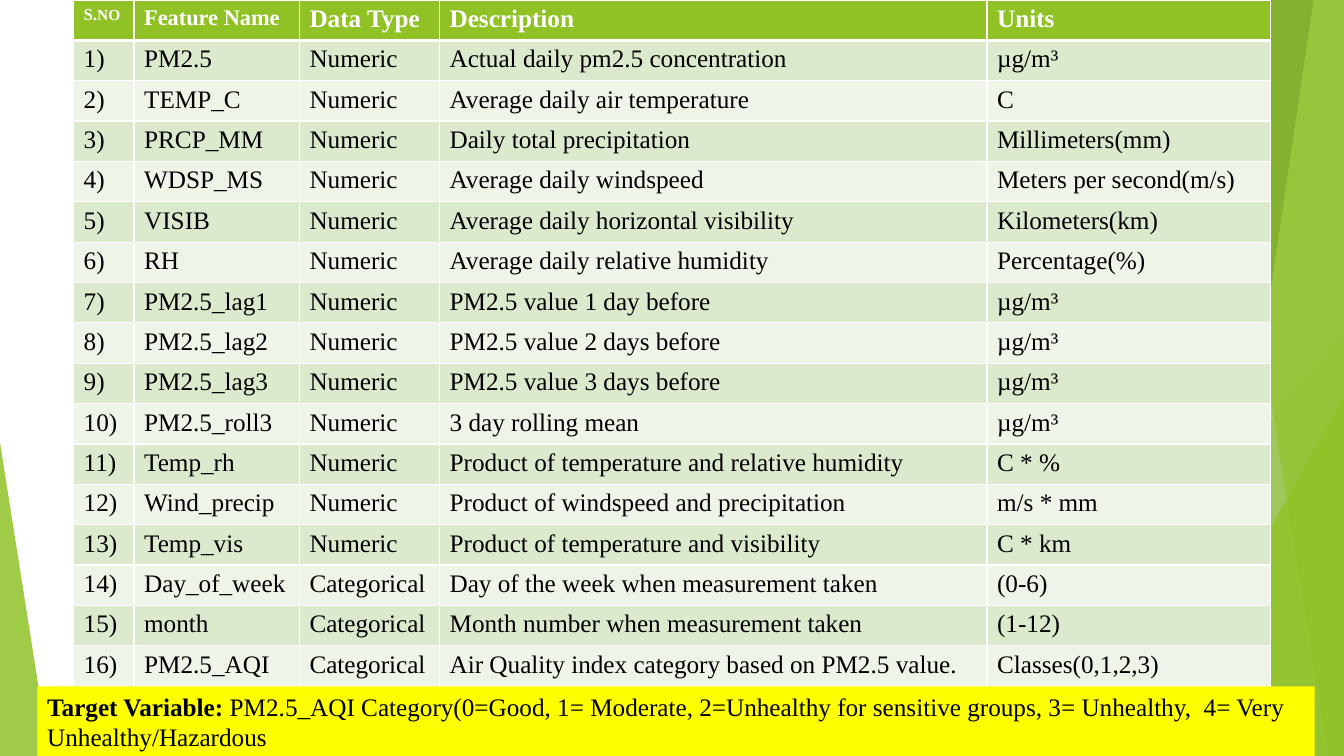
"""Build the feature table slide with its green facets and target variable note."""
from lxml.etree import SubElement
from pptx import Presentation
from pptx.dml.color import RGBColor
from pptx.enum.shapes import MSO_CONNECTOR, MSO_SHAPE
from pptx.enum.text import MSO_ANCHOR, PP_ALIGN
from pptx.oxml.ns import qn
from pptx.util import Inches, Pt

WIDTH, HEIGHT = 13.33, 7.5
FONT = "Times New Roman"
HEADER = ["S.NO", "Feature Name", "Data Type", "Description", "Units"]
HEADER_SIZES = [11, 16, 18, 18, 18]
FEATURES = [
    ("PM2.5", "Numeric", "Actual daily pm2.5 concentration", "µg/m³"),
    ("TEMP_C", "Numeric", "Average daily air temperature", "C"),
    ("PRCP_MM", "Numeric", "Daily total precipitation", "Millimeters(mm)"),
    ("WDSP_MS", "Numeric", "Average daily windspeed", "Meters per second(m/s)"),
    ("VISIB", "Numeric", "Average daily horizontal visibility", "Kilometers(km)"),
    ("RH", "Numeric", "Average daily relative humidity", "Percentage(%)"),
    ("PM2.5_lag1", "Numeric", "PM2.5 value 1 day before", "µg/m³"),
    ("PM2.5_lag2", "Numeric", "PM2.5 value 2 days before", "µg/m³"),
    ("PM2.5_lag3", "Numeric", "PM2.5 value 3 days before", "µg/m³"),
    ("PM2.5_roll3", "Numeric", "3 day rolling mean", "µg/m³"),
    ("Temp_rh", "Numeric", "Product of temperature and relative humidity", "C * %"),
    ("Wind_precip", "Numeric", "Product of windspeed and precipitation", "m/s * mm"),
    ("Temp_vis", "Numeric", "Product of temperature and visibility", "C * km"),
    ("Day_of_week", "Categorical", "Day of the week when measurement taken", "(0-6)"),
    ("month", "Categorical", "Month number when measurement taken", "(1-12)"),
    ("PM2.5_AQI", "Categorical", "Air Quality index category based on PM2.5 value.",
     "Classes(0,1,2,3)"),
]
COLUMNS = [0.6, 1.64, 1.39, 5.43, 2.81]
TABLE_LEFT, TABLE_HEIGHT = 0.73, 6.81
NOTE_BOX = (0.37, TABLE_HEIGHT, 12.67, 0.71)
NOTE = [
    ("Target Variable: ", True),
    ("PM2.5_AQI Category(0=Good, 1= Moderate, 2=Unhealthy for sensitive groups, "
     "3= Unhealthy,  4= Very Unhealthy/Hazardous", False),
]
GUIDES = [((10.25, 0), (11.58, HEIGHT), "BFBFBF"), ((WIDTH, 4.03), (8.12, HEIGHT), "D9D9D9")]
FACETS = [
    ("band", (12.28, 10.04), "90C226", 30),
    ("band", (10.5, 11.83), "90C226", 20),
    ("triangle", (9.77, 3.33, 3.56, 1), "54A021", 72),
    ("band", (10.21, 12.91), "3F7819", 70),
    ("band", (13.03, 11.92), "C0E474", 70),
    ("band", (11.96, 13.18), "90C226", 65),
    ("triangle", (11.34, 3.93, 1.99, 1), "90C226", 80),
    ("triangle", (0, 4.39, 0.49, 0), "90C226", 85),
]


def color(value):
    return RGBColor.from_string(value)


def paint(shape, fill, opacity=100):
    shape.shadow.inherit = False
    shape.fill.solid()
    shape.fill.fore_color.rgb = color(fill)
    if opacity < 100:
        tint = shape._element.spPr.find(".//" + qn("a:srgbClr"))
        SubElement(tint, qn("a:alpha"), val=str(opacity * 1000))
    shape.line.fill.background()


def style(run, size, bold, text_color):
    run.font.name = FONT
    run.font.size = Pt(size)
    run.font.bold = bold
    run.font.color.rgb = color(text_color)


def add_guide(slide, start, end, line_color):
    line = slide.shapes.add_connector(
        MSO_CONNECTOR.STRAIGHT, *[Inches(value) for value in start + end])
    line.line.color.rgb = color(line_color)
    line.line.width = Pt(0.75)
    SubElement(line._element.spPr, qn("a:effectLst"))


def add_band(slide, top_left, bottom_left):
    builder = slide.shapes.build_freeform(Inches(top_left), Inches(-0.01))
    corners = [(WIDTH, -0.01), (WIDTH, HEIGHT), (bottom_left, HEIGHT)]
    builder.add_line_segments([(Inches(x), Inches(y)) for x, y in corners], close=True)
    return builder.convert_to_shape()


def add_triangle(slide, left, top, width, apex):
    triangle = slide.shapes.add_shape(
        MSO_SHAPE.ISOSCELES_TRIANGLE,
        Inches(left), Inches(top), Inches(width), Inches(HEIGHT - top))
    triangle.adjustments[0] = apex
    return triangle


def set_borders(cell, row):
    widths = {"L": 1, "R": 1, "T": 3 if row == 1 else 1, "B": 3 if row == 0 else 1}
    properties = cell._tc.get_or_add_tcPr()
    for side, width in widths.items():
        border = SubElement(properties, qn(f"a:ln{side}"), w=str(Pt(width)))
        SubElement(SubElement(border, qn("a:solidFill")), qn("a:srgbClr"), val="FFFFFF")


def add_features(slide):
    rows = [HEADER] + [(f"{number})", *feature) for number, feature in enumerate(FEATURES, 1)]
    table = slide.shapes.add_table(
        len(rows), len(COLUMNS), Inches(TABLE_LEFT), 0,
        Inches(sum(COLUMNS)), Inches(TABLE_HEIGHT)).table
    for column, width in zip(table.columns, COLUMNS):
        column.width = Inches(width)
    for row, values in enumerate(rows):
        header = row == 0
        fill = "90C226" if header else ("EEF4E8", "DBE9CD")[row % 2]
        for column, text in enumerate(values):
            cell = table.cell(row, column)
            set_borders(cell, row)
            cell.fill.solid()
            cell.fill.fore_color.rgb = color(fill)
            paragraph = cell.text_frame.paragraphs[0]
            paragraph.text = text
            size = HEADER_SIZES[column] if header else 18
            style(paragraph.runs[0], size, header, "FFFFFF" if header else "000000")
    serial = table.cell(0, 0).text_frame.paragraphs[0]
    serial.runs[0].text = "S."
    serial.runs[0].font.size = Pt(12)
    ending = serial.add_run()
    ending.text = "NO"
    style(ending, HEADER_SIZES[0], True, "FFFFFF")


def add_note(slide):
    note = slide.shapes.add_shape(MSO_SHAPE.RECTANGLE, *[Inches(value) for value in NOTE_BOX])
    paint(note, "FFFF00")
    frame = note.text_frame
    frame.word_wrap = True
    frame.vertical_anchor = MSO_ANCHOR.TOP
    paragraph = frame.paragraphs[0]
    paragraph.alignment = PP_ALIGN.LEFT
    for text, bold in NOTE:
        run = paragraph.add_run()
        run.text = text
        style(run, 18, bold, "000000")


def main():
    presentation = Presentation()
    presentation.slide_width, presentation.slide_height = Inches(WIDTH), Inches(HEIGHT)
    slide = presentation.slides.add_slide(presentation.slide_layouts[6])
    for guide in GUIDES:
        add_guide(slide, *guide)
    for kind, geometry, fill, opacity in FACETS:
        add_facet = add_band if kind == "band" else add_triangle
        paint(add_facet(slide, *geometry), fill, opacity)
    add_features(slide)
    add_note(slide)
    presentation.save("out.pptx")


if __name__ == "__main__":
    main()
